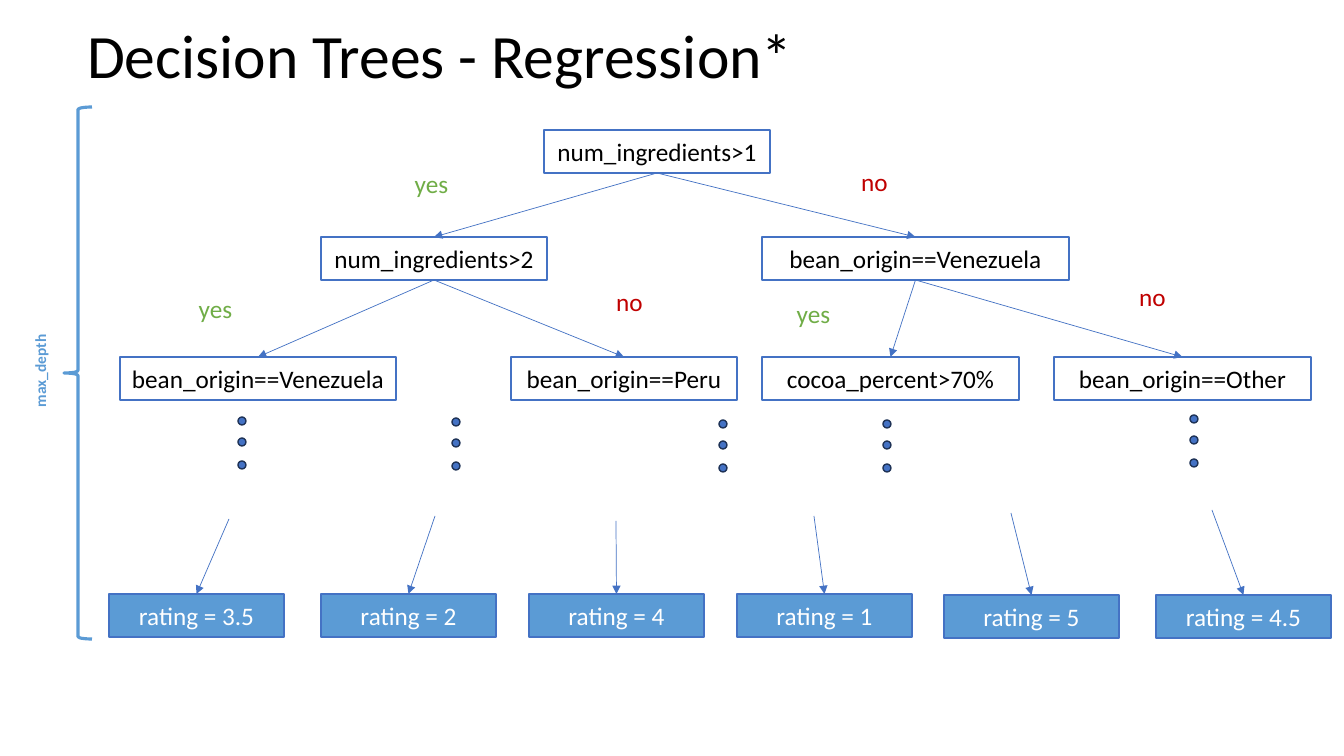
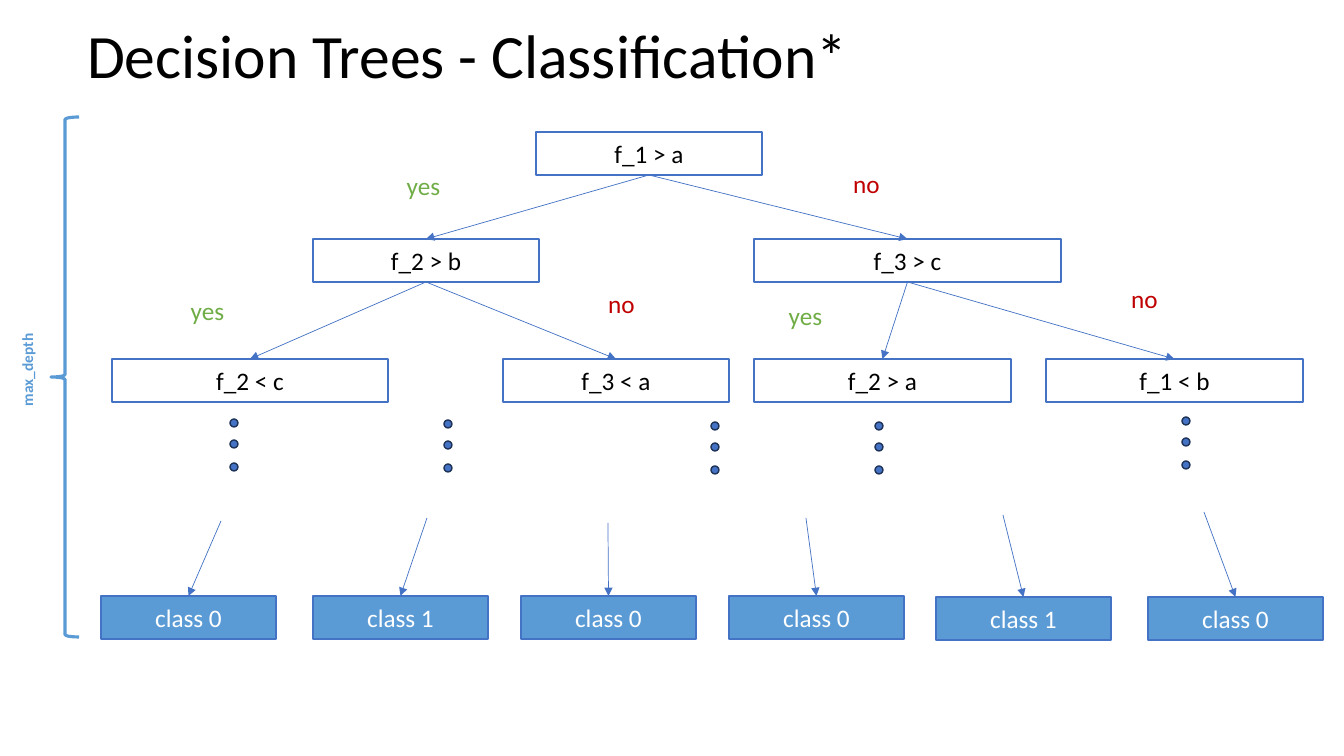
from pptx import Presentation
from pptx.dml.color import RGBColor as RGB
from pptx.enum.shapes import MSO_CONNECTOR as LINK, MSO_SHAPE as FORM
from pptx.enum.text import MSO_ANCHOR as ANCHOR, MSO_AUTO_SIZE as FIT, PP_ALIGN as ALIGN
from pptx.oxml.ns import qn
from pptx.util import Pt
from lxml.etree import SubElement

SCALE = 914400 / 100.8
FONT = "Calibri"
HEX = {"black": "000000", "white": "FFFFFF", "blue": "4472C4", "sky": "5B9BD5",
       "navy": "1E3256", "yes": "70AD47", "no": "C00000"}
TOP, BOTTOM = 0, 2  # connection sites of a rectangle


def px(n):
    return round(n * SCALE)


def rgb(name):
    return RGB.from_string(HEX[name])


def write(shape, text, size=18, color="black", bold=False, align=ALIGN.CENTER):
    frame = shape.text_frame
    frame.word_wrap = True
    frame.auto_size = FIT.NONE
    frame.vertical_anchor = ANCHOR.MIDDLE
    para = frame.paragraphs[0]
    para.alignment = align
    run = para.add_run()
    run.text = text
    font = run.font
    font.name, font.size, font.bold = FONT, Pt(size), bold
    font.color.rgb = rgb(color)
    return para


class Page:
    """Style and current slide; dx and dy shift the whole tree."""
    high = 43

    def __init__(self, deck, title, dx=0, dy=0):
        self.slide = deck.slides.add_slide(deck.slide_layouts[5])
        self.dx, self.dy = dx, dy
        head = self.slide.shapes.title
        head.left, head.top, head.width, head.height = map(px, (77, 19, 1159, 79))
        write(head, title, size=44, align=ALIGN.LEFT).line_spacing = 0.9

    def shape(self, form, x, y, w, h, fill=None, line=None, width=1):
        item = self.slide.shapes.add_shape(
            form, px(x + self.dx), px(y + self.dy), px(w), px(h))
        item.shadow.inherit = False
        if fill:
            item.fill.solid()
            item.fill.fore_color.rgb = rgb(fill)
        else:
            item.fill.background()
        if line:
            item.line.color.rgb = rgb(line)
            item.line.width = Pt(width)
        else:
            item.line.fill.background()
        return item

    def node(self, text, x, y, w, fill="white", color="black"):
        box = self.shape(FORM.RECTANGLE, x, y, w, self.high, fill, "blue")
        write(box, text, color=color)
        return box

    def label(self, text, x, y):
        box = self.shape(FORM.RECTANGLE, x, y, 137, self.high, "white")
        write(box, text, color=text)

    def arrow(self, start, end):
        """Point at the top of a box, from another box or from a free spot."""
        x, y = start if isinstance(start, tuple) else (0, 0)
        x, y = px(x + self.dx), px(y + self.dy)
        link = self.slide.shapes.add_connector(LINK.STRAIGHT, x, y, x, y)
        if not isinstance(start, tuple):
            link.begin_connect(start, BOTTOM)
        link.end_connect(end, TOP)
        link.line.color.rgb = rgb("blue")
        link.line.width = Pt(0.5)
        SubElement(link.line._get_or_add_ln(), qn("a:tailEnd"), type="triangle")
        SubElement(link._element.spPr, qn("a:effectLst"))

    def dots(self, x, y):
        for step in (0, 21, 44):
            self.shape(FORM.OVAL, x, y + step, 8, 8, "blue", "navy")

    def depth(self, x, y, h, text_y):
        brace = self.shape(FORM.RIGHT_BRACE, x, y, 28, h, line="sky", width=2.25)
        brace.rotation = 180
        tag = self.shape(FORM.ROUNDED_RECTANGLE, x - 40, text_y, 32, 188, "white")
        write(tag, "max_depth", size=11, color="sky", bold=True)
        tag.text_frame._txBody.bodyPr.set("vert", "vert270")


# Tree layout: nodes in level order, each x, y, width
NODES = [(544, 130, 226),
         (321, 237, 226), (762, 237, 307),
         (120, 357, 276), (511, 357, 226), (762, 357, 257), (1054, 357, 257)]
LABELS = [("yes", 363, 162), ("no", 806, 160), ("yes", 147, 287),
          ("no", 561, 280), ("yes", 745, 292), ("no", 1084, 275)]
DOTS = [(238, 417), (452, 418), (719, 420), (883, 420), (1190, 415)]
# Leaves: x, y, then the spot where the arrow starts
LEAVES = [(109, 594, (229, 519)), (321, 594, (435, 516)), (529, 594, (616, 521)),
          (737, 594, (814, 516)), (944, 595, (1011, 513)), (1156, 595, (1212, 510))]


def tree(page, tests, ends):
    for spot in LABELS:
        page.label(*spot)
    boxes = [page.node(text, *spot) for text, spot in zip(tests, NODES)]
    for i, box in enumerate(boxes[1:]):
        page.arrow(boxes[i // 2], box)
    for spot in DOTS:
        page.dots(*spot)
    for text, (x, y, start) in zip(ends, LEAVES):
        page.arrow(start, page.node(text, x, y, 175, "sky", "white"))


deck = Presentation()
deck.slide_width, deck.slide_height = px(1344), px(756)

# Regression
page = Page(deck, "Decision Trees - Regression*")
tree(page,
     ["num_ingredients>1", "num_ingredients>2", "bean_origin==Venezuela",
      "bean_origin==Venezuela", "bean_origin==Peru", "cocoa_percent>70%",
      "bean_origin==Other"],
     [f"rating = {n}" for n in (3.5, 2, 4, 1, 5, 4.5)])
page.depth(64, 107, 532, 277)

# Classification
page = Page(deck, "Decision Trees - Classification*", dx=-8, dy=2)
tree(page,
     ["f_1 > a", "f_2 > b", "f_3 > c", "f_2 < c", "f_3 < a", "f_2 > a", "f_1 < b"],
     [f"class {n}" for n in (0, 1, 0, 0, 1, 0)])
page.depth(59, 115, 520, 274)

deck.save("out.pptx")
